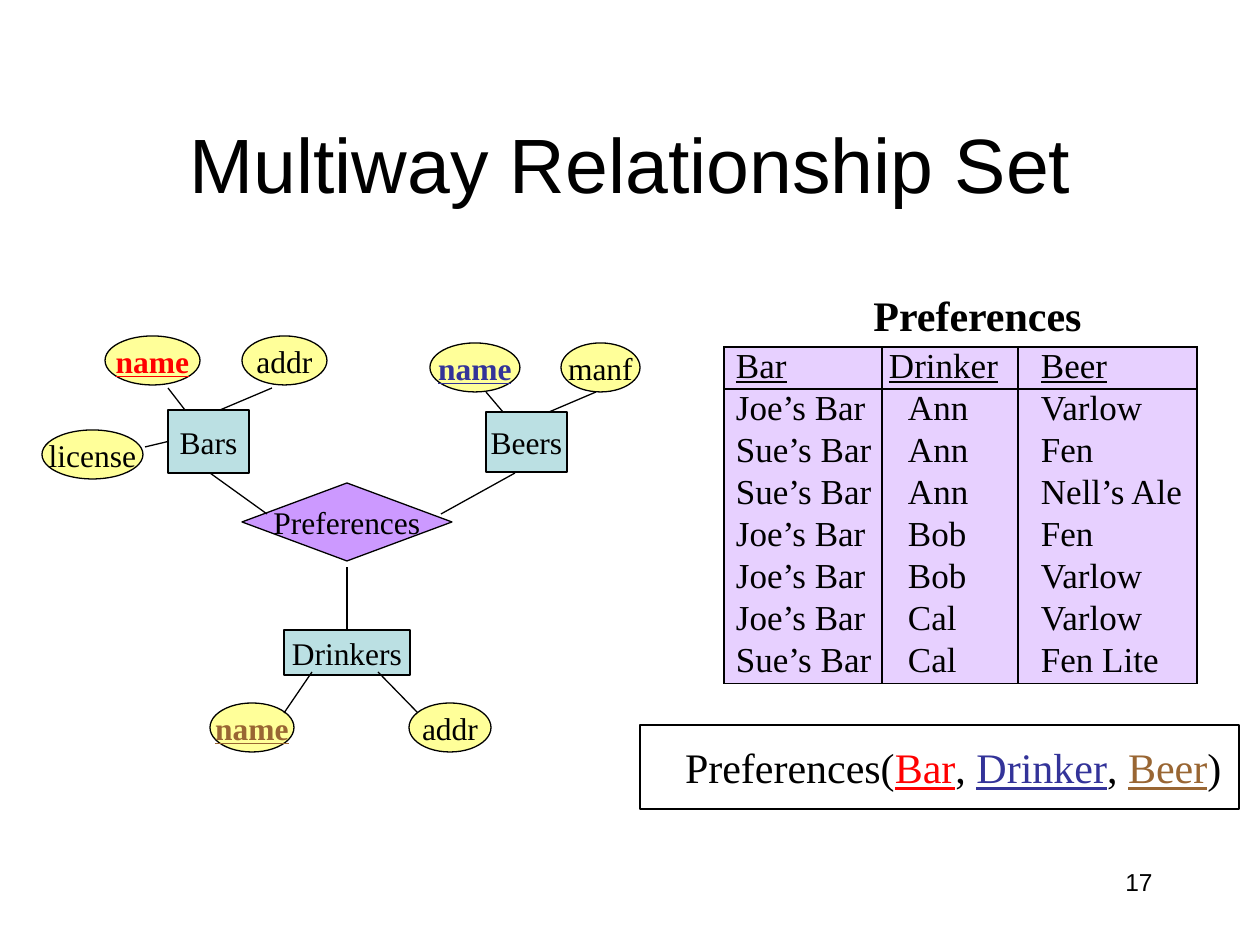
from lxml.etree import SubElement
from pptx import Presentation
from pptx.dml.color import RGBColor
from pptx.enum.shapes import MSO_CONNECTOR as Connector, MSO_SHAPE as Preset
from pptx.enum.text import MSO_ANCHOR as Anchor, PP_ALIGN as Align
from pptx.oxml.ns import qn
from pptx.util import Emu, Pt

PX = 914400 / 126
SERIF, SANS = "Times New Roman", "Arial"
COLORS = {
    "black": "000000", "entity": "BBE0E3", "attribute": "FFFF99",
    "relationship": "CC99FF", "table": "E7D0FF",
    "red": "FF0000", "blue": "333399", "brown": "996633",
}


def px(value):
    return Emu(round(value * PX))


def rgb(name):
    return RGBColor.from_string(COLORS[name])


def add_run(paragraph, text, size, font=SERIF, color="black", bold=False, underline=False):
    run = paragraph.add_run()
    run.text = text
    run.font.name, run.font.size = font, Pt(size)
    run.font.bold, run.font.underline = bold, underline
    run.font.color.rgb = rgb(color)


def set_margins(target, left, top, right, bottom):
    target.margin_left, target.margin_top = px(left), px(top)
    target.margin_right, target.margin_bottom = px(right), px(bottom)


def add_node(slide, preset, box, fill=None):
    shape = slide.shapes.add_shape(preset, *map(px, box))
    shape.shadow.inherit = False
    if fill:
        shape.fill.solid()
        shape.fill.fore_color.rgb = rgb(fill)
    else:
        shape.fill.background()
    shape.line.color.rgb = rgb("black")
    shape.line.width = Pt(0.75)
    shape.text_frame.vertical_anchor = Anchor.MIDDLE
    shape.text_frame.word_wrap = False
    return shape


def add_line(slide, start, end):
    line = slide.shapes.add_connector(Connector.STRAIGHT, *map(px, start + end))
    line.line.color.rgb = rgb("black")
    line.line.width = Pt(0.75)
    SubElement(line._element.spPr, qn("a:effectLst"))
    return line


def add_text_box(slide, box, text, size, align=Align.LEFT, **style):
    frame = slide.shapes.add_textbox(*map(px, box)).text_frame
    frame.word_wrap = True
    paragraph = frame.paragraphs[0]
    paragraph.alignment = align
    add_run(paragraph, text, size, **style)


def add_title(slide, box, text):
    title = slide.shapes.title
    title.left, title.top, title.width, title.height = map(px, box)
    title.text_frame.vertical_anchor = Anchor.MIDDLE
    paragraph = title.text_frame.paragraphs[0]
    paragraph.alignment = Align.CENTER
    add_run(paragraph, text, 44, SANS)


def add_diagram(slide, left, top):
    def label(preset, fill, text, x, y, width, height, **style):
        shape = add_node(slide, preset, (left + x, top + y, width, height), fill)
        paragraph = shape.text_frame.paragraphs[0]
        paragraph.alignment = Align.CENTER
        add_run(paragraph, text, 18, **style)
        return shape

    # Entity sets
    entities = {
        name: label(Preset.RECTANGLE, "entity", name, *box)
        for name, *box in [
            ("Bars", 126, 74, 81, 63),
            ("Beers", 444, 76, 81, 60),
            ("Drinkers", 242, 294, 126, 45),
        ]
    }

    # Attributes, with coloured keys
    for text, x, y, width, key_color in [
        ("name", 63, 0, 95, "red"), ("addr", 200, 0, 85, None),
        ("license", 0, 94, 101, None),
        ("name", 388, 7, 90, "blue"), ("manf", 519, 7, 79, None),
        ("name", 168, 367, 84, "brown"), ("addr", 367, 367, 82, None),
    ]:
        is_key = key_color is not None
        label(Preset.OVAL, "attribute", text, x, y, width, 49,
              color=key_color or "black", bold=is_key, underline=is_key)

    # Relationship set
    label(Preset.DIAMOND, "relationship", "Preferences", 200, 147, 210, 78)

    # Links; the last two fields name a joined entity and its side
    for x1, y1, x2, y2, entity, side in [
        (103, 111, 126, 106, "Bars", 1),
        (126, 52, 143, 74, None, None),
        (230, 52, 178, 74, None, None),
        (444, 56, 461, 76, None, None),
        (554, 56, 507, 76, None, None),
        (242, 377, 270, 336, None, None),
        (376, 377, 336, 336, None, None),
        (225, 178, 168, 137, None, None),
        (399, 178, 473, 137, None, None),
        (305, 231, 305, 294, "Drinkers", 0),
    ]:
        line = add_line(slide, (left + x1, top + y1), (left + x2, top + y2))
        if entity:
            line.end_connect(entities[entity], side)


def set_borders(cell, sides):
    properties = cell._tc.get_or_add_tcPr()
    for position, side in enumerate(("L", "R", "T", "B")):
        border = properties.makeelement(qn(f"a:ln{side}"), {"w": str(Pt(0.75))})
        if side in sides:
            fill = SubElement(border, qn("a:solidFill"))
            SubElement(fill, qn("a:srgbClr"), val=COLORS["black"])
        else:
            SubElement(border, qn("a:noFill"))
        properties.insert(position, border)


def add_relation(slide, left, top, name, rows):
    widths, row_height = (158, 136, 179), 42
    add_text_box(slide, (left + 137, top - 64, 273, 63), name, 24, bold=True)
    frame = slide.shapes.add_table(
        len(rows), len(widths), px(left), px(top), px(sum(widths)), px(row_height * len(rows)))
    table = frame.table
    table.first_row = table.horz_banding = False
    for column, width in zip(table.columns, widths):
        column.width = px(width)
    for row_index, values in enumerate(rows):
        is_header = row_index == 0
        table.rows[row_index].height = px(row_height)
        for column_index, value in enumerate(values):
            cell = table.cell(row_index, column_index)
            cell.fill.solid()
            cell.fill.fore_color.rgb = rgb("table")
            cell.vertical_anchor = Anchor.TOP
            indent = (12, 7 if is_header else 26, 23)[column_index]
            set_margins(cell, indent, 0, 0, 0)
            add_run(cell.text_frame.paragraphs[0], value, 20, underline=is_header)
            horizontal = {0: "TB", 1: "T", len(rows) - 1: "B"}.get(row_index, "")
            set_borders(cell, "LR" + horizontal)


def add_schema(slide, box):
    frame = add_node(slide, Preset.RECTANGLE, box).text_frame
    set_margins(frame, 45, 6, 0, 6)
    paragraph = frame.paragraphs[0]
    paragraph.alignment = Align.LEFT
    for text, color in [
        ("Preferences(", "black"), ("Bar", "red"), (", ", "black"),
        ("Drinker", "blue"), (", ", "black"), ("Beer", "brown"), (")", "black"),
    ]:
        add_run(paragraph, text, 24, color=color, underline=color != "black")


def main():
    presentation = Presentation()
    presentation.slide_width, presentation.slide_height = px(1260), px(945)
    slide = presentation.slides.add_slide(presentation.slide_layouts[5])

    add_title(slide, (95, 84, 1071, 158), "Multiway Relationship Set")
    add_diagram(slide, 42, 336)
    add_relation(slide, 724, 347, "Preferences", [
        ("Bar", "Drinker", "Beer"),
        ("Joe’s Bar", "Ann", "Varlow"),
        ("Sue’s Bar", "Ann", "Fen"),
        ("Sue’s Bar", "Ann", "Nell’s Ale"),
        ("Joe’s Bar", "Bob", "Fen"),
        ("Joe’s Bar", "Bob", "Varlow"),
        ("Joe’s Bar", "Cal", "Varlow"),
        ("Sue’s Bar", "Cal", "Fen Lite"),
    ])
    add_schema(slide, (640, 725, 599, 84))
    add_text_box(slide, (903, 861, 262, 63), "17", 14, Align.RIGHT, font=SANS)
    presentation.save("out.pptx")


if __name__ == "__main__":
    main()
